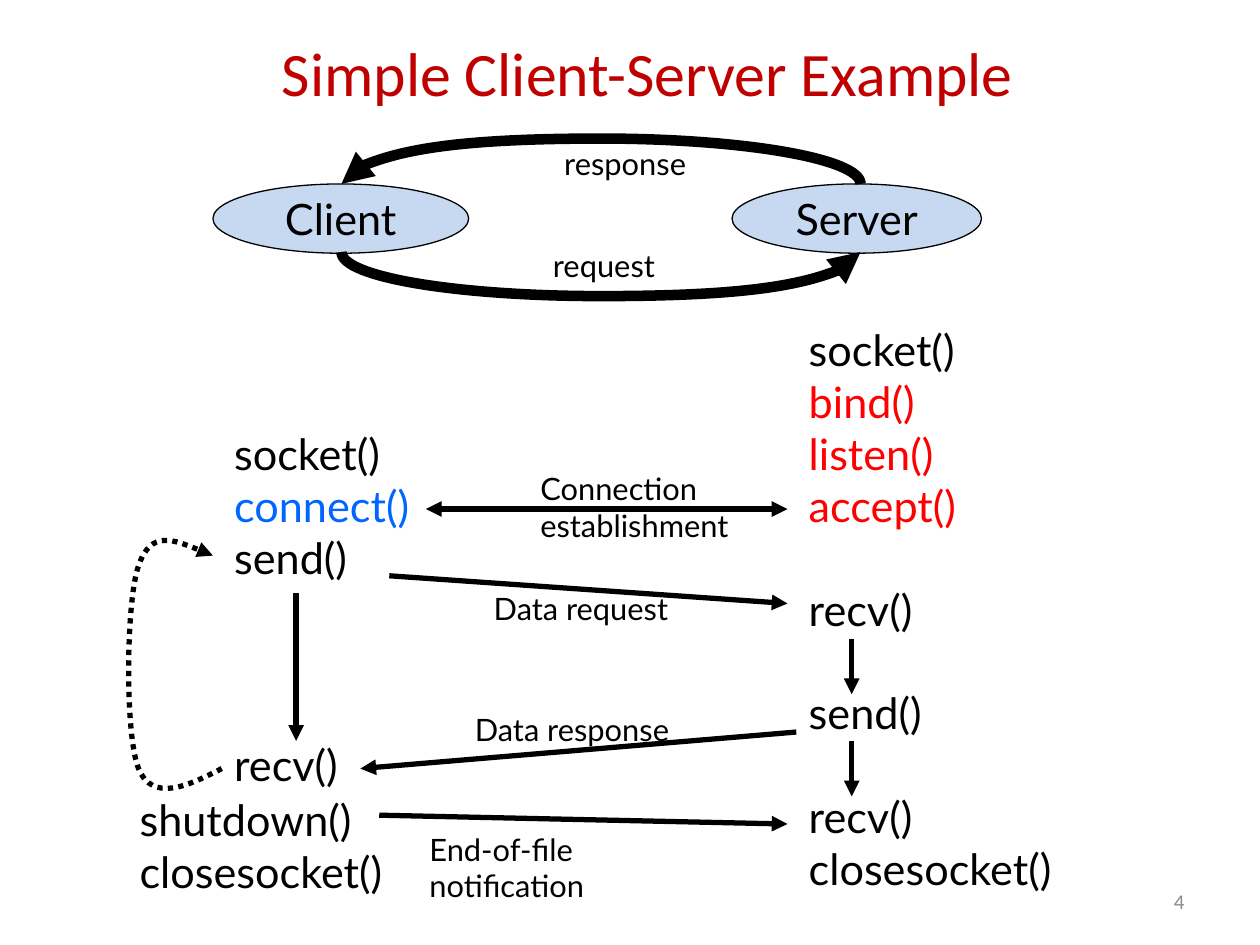
import pptx
import pptx.util
import pptx.dml.color
import pptx.enum.dml
import pptx.enum.shapes
import pptx.enum.text
import pptx.oxml
import pptx.oxml.ns
from pptx.util import Inches

BLACK, RED, BLUE = "000000", "FF0000", "0066FF"
CODE_SIZE, LABEL_SIZE = 24.7, 17.6
LINE_PITCH = CODE_SIZE * 1.2  # points per line of code

TITLE = "Simple Client-Server Example"
NODES = [("Client", 1.69, 2.03), ("Server", 5.81, 1.98)]  # text, left, width
NODE_TOP, NODE_HEIGHT = 1.46, 0.55

# left, top, width, calls as (text, colour, empty lines above)
CALLS = [
    (1.76, 2.52 + 2 * LINE_PITCH / 72, 2.28, [
        ("socket()", BLACK, 0), ("connect()", BLUE, 0),
        ("send()", BLACK, 0), ("recv()", BLACK, 3)]),
    (6.32, 2.52, 2.28, [
        ("socket()", BLACK, 0), ("bind()", RED, 0), ("listen()", RED, 0),
        ("accept()", RED, 0), ("recv()", BLACK, 1), ("send()", BLACK, 1),
        ("recv()", BLACK, 1), ("closesocket()", BLACK, 0)]),
    (1.01, 6.25, 2.3, [("shutdown()", BLACK, 0), ("closesocket()", BLACK, 0)]),
]
# text, left, top, width, height
LABELS = [
    ("request", 4.29, 1.91, 1.2, 0.4),
    ("response", 4.38, 1.1, 1.4, 0.4),
    ("Connection\nestablishment", 4.19, 3.68, 1.9, 0.7),
    ("Data response", 3.67, 5.59, 2, 0.4),
    ("Data request", 3.82, 4.63, 1.8, 0.4),
    ("End-of-file\nnotification", 3.31, 6.54, 1.8, 0.7),
]
# start, end, arrowhead ends
ARROWS = [
    ((2.35, 4.71), (2.35, 5.88), ["tail"]),
    ((3.09, 4.57), (6.25, 4.79), ["tail"]),
    ((6.25, 4.04), (3.38, 4.04), ["head", "tail"]),
    ((6.32, 5.81), (2.86, 6.1), ["tail"]),
    ((6.76, 5.07), (6.76, 5.51), ["tail"]),
    ((6.76, 5.88), (6.76, 6.32), ["tail"]),
    ((3.01, 6.47), (6.25, 6.54), ["tail"]),
]
# Bezier points (start, then three per segment), width, dashed
REQUEST = [(2.71, 2), (2.71, 2.2), (3.63, 2.35), (4.77, 2.35),
           (5.9, 2.35), (6.83, 2.2), (6.83, 2)]
RESPONSE = [(6.83, 1.46), (6.83, 1.26), (5.9, 1.1), (4.77, 1.1),
            (3.63, 1.1), (2.71, 1.26), (2.71, 1.46)]
LOOP = [(1.76, 6.1), (1.49, 6.24), (1.21, 6.37), (1.1, 6.1),
        (0.99, 5.83), (1, 4.77), (1.1, 4.49),
        (1.2, 4.2), (1.45, 4.31), (1.69, 4.41)]
CURVES = [(REQUEST, 6, False), (RESPONSE, 6, False), (LOOP, 3, True)]

ALIGN = pptx.enum.text.PP_ALIGN
ANCHOR = pptx.enum.text.MSO_ANCHOR


def rgb(value):
    """Turn a hex string into a colour."""
    return pptx.dml.color.RGBColor.from_string(value)


def add_element(parent, tag, **attributes):
    """Append a DrawingML element."""
    el = pptx.oxml.parse_xml(f"<a:{tag} {pptx.oxml.ns.nsdecls('a')}/>")
    for name, value in attributes.items():
        el.set(name, value)
    parent.append(el)
    return el


def style_text(p, size, color, font="Lato", align=ALIGN.LEFT):
    """Format every run of a paragraph."""
    p.alignment = align
    for r in p.runs:
        r.font.size = pptx.util.Pt(size)
        r.font.name = font
        r.font.color.rgb = rgb(color)


def add_text(s, text, box, size, color=BLACK, font="Lato",
             align=ALIGN.LEFT, anchor=ANCHOR.TOP):
    """Add a wrapped text box and return its frame."""
    tf = s.shapes.add_textbox(*map(Inches, box)).text_frame
    tf.word_wrap = True
    tf.vertical_anchor = anchor
    tf.text = text
    for p in tf.paragraphs:
        style_text(p, size, color, font, align)
    return tf


def add_calls(s, left, top, width, calls):
    """Add a column of calls, with gaps of whole lines."""
    height = sum(1 + gap for _, _, gap in calls) * LINE_PITCH / 72 + 0.1
    text = "\n".join(call[0] for call in calls)
    tf = add_text(s, text, (left, top, width, height), CODE_SIZE)
    for p, (_, color, gap) in zip(tf.paragraphs, calls):
        p.space_before = pptx.util.Pt(gap * LINE_PITCH)
        style_text(p, CODE_SIZE, color)


def add_node(s, text, left, width):
    """Add a labelled ellipse."""
    box = map(Inches, (left, NODE_TOP, width, NODE_HEIGHT))
    sp = s.shapes.add_shape(pptx.enum.shapes.MSO_SHAPE.OVAL, *box)
    sp.shadow.inherit = False
    sp.fill.solid()
    sp.fill.fore_color.rgb = rgb("C6D9F1")
    sp.line.color.rgb = rgb(BLACK)
    sp.line.width = pptx.util.Pt(0.75)
    tf = sp.text_frame
    tf.word_wrap = False
    tf.vertical_anchor = ANCHOR.MIDDLE
    tf.text = text
    style_text(tf.paragraphs[0], CODE_SIZE, BLACK, align=ALIGN.CENTER)


def style_line(line, width, ends):
    """Make a black line with triangle arrowheads."""
    line.color.rgb = rgb(BLACK)
    line.width = pptx.util.Pt(width)
    for end in ends:
        add_element(line._get_or_add_ln(), end + "End", type="triangle")


def add_arrow(s, start, end, ends):
    """Add a straight arrow."""
    kind = pptx.enum.shapes.MSO_CONNECTOR.STRAIGHT
    line = s.shapes.add_connector(kind, *map(Inches, start + end))
    style_line(line.line, 3, ends)
    add_element(line._element.spPr, "effectLst")


def add_curve(s, points, width, dashed):
    """Add a Bezier arrow through the given control points."""
    points = [(Inches(x), Inches(y)) for x, y in points]
    builder = s.shapes.build_freeform(*points[0])
    builder.add_line_segments(points[1:], close=False)
    sp = builder.convert_to_shape()
    sp.shadow.inherit = False
    sp.fill.background()
    if dashed:
        sp.line.dash_style = pptx.enum.dml.MSO_LINE.ROUND_DOT
    style_line(sp.line, width, ["tail"])
    outline = sp._element.find(".//" + pptx.oxml.ns.qn("a:path"))
    steps = outline.findall(pptx.oxml.ns.qn("a:lnTo"))
    for i in range(0, len(steps), 3):
        curve = add_element(outline, "cubicBezTo")
        for step in steps[i:i + 3]:
            curve.append(step[0])
            outline.remove(step)


prs = pptx.Presentation()
prs.slide_width, prs.slide_height = Inches(10), Inches(7.5)
s = prs.slides.add_slide(prs.slide_layouts[6])
add_text(s, TITLE, (0.51, 0.22, 9.26, 0.7), 35.3, "C00000", "Calibri",
         ALIGN.CENTER, ANCHOR.MIDDLE)
for node in NODES:
    add_node(s, *node)
for curve in CURVES:
    add_curve(s, *curve)
for column in CALLS:
    add_calls(s, *column)
for arrow in ARROWS:
    add_arrow(s, *arrow)
for text, *box in LABELS:
    add_text(s, text, box, LABEL_SIZE)
add_text(s, "4", (7.17, 6.95, 2.33, 0.4), 12, "8C8C8C", "Calibri",
         ALIGN.RIGHT, ANCHOR.MIDDLE)
prs.save("out.pptx")
